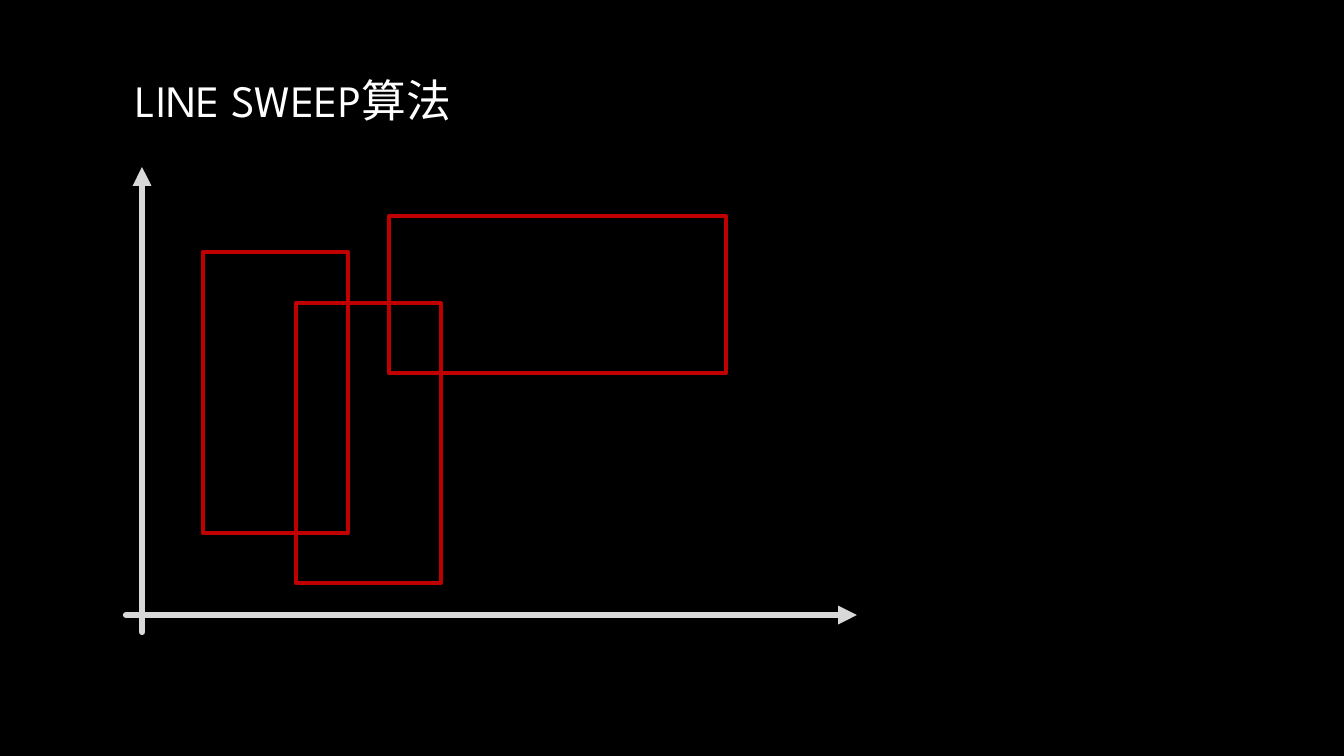
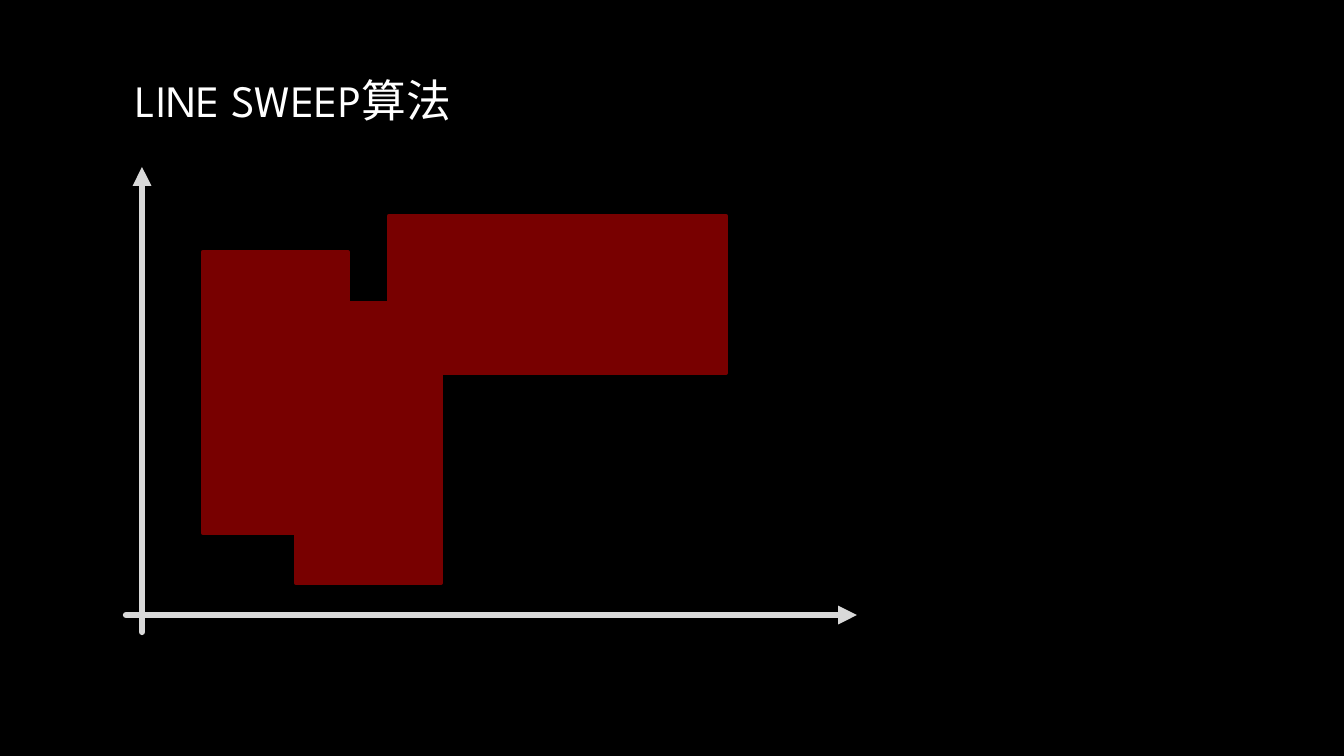
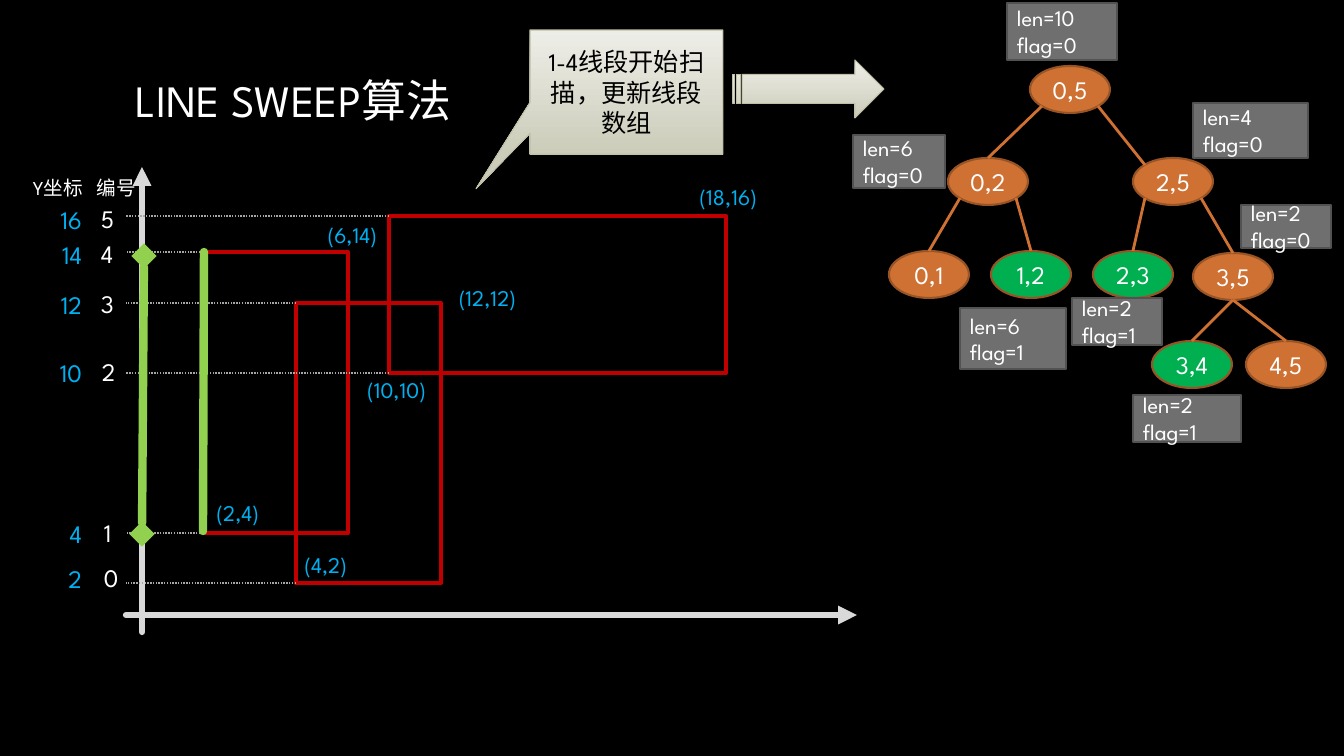
import pptx
import pptx.util
import pptx.dml.color
import pptx.enum.dml
import pptx.enum.shapes
import pptx.enum.text
import pptx.oxml

FONT = "League Spartan"
WHITE, BLACK, BLUE = "FFFFFF", "000000", "00B0F0"
RED, DARK, GREEN, LIME = "C00000", "780000", "00B050", "92D050"
AXIS, GUIDE = "D9D9D9", "A6A6A6"
NODE, RIM, TAG, EDGE = "CF7133", "995426", "6F6F6F", "525252"
CREAM, SAND, KHAKI = "EEEEE8", "CCCCBA", "BFBFA5"

KIND = pptx.enum.shapes.MSO_SHAPE
ALIGN = pptx.enum.text.PP_ALIGN
MIDDLE = pptx.enum.text.MSO_ANCHOR.MIDDLE
DOTS = pptx.enum.dml.MSO_LINE.ROUND_DOT


def px(n):
    return pptx.util.Emu(round(n * 914400 / 100.8))


def rgb(code):
    return pptx.dml.color.RGBColor.from_string(code)


def assign(item, **values):
    for name, value in values.items():
        setattr(item, name, value)


# Basic parts
def write(shape, text, size, color=WHITE, align=ALIGN.LEFT, **frame):
    tf = shape.text_frame
    assign(tf, **frame)
    tf.text = text
    for para in tf.paragraphs:
        para.alignment = align
        assign(para.font, name=FONT, size=pptx.util.Pt(size))
        para.font.color.rgb = rgb(color)


def label(slide, box, text, size, color=WHITE, align=ALIGN.LEFT, **frame):
    shape = slide.shapes.add_textbox(*map(px, box))
    write(shape, text, size, color, align, **frame)


def block(slide, kind, box, fill, line, width):
    shape = slide.shapes.add_shape(kind, *map(px, box))
    shape.shadow.inherit = False
    if fill is None:
        shape.fill.background()
    elif isinstance(fill, tuple):
        shape.fill.gradient()
        shape.fill.gradient_angle = 270
        for stop, code, place in zip(shape.fill.gradient_stops, fill, (0, 1)):
            stop.color.rgb = rgb(code)
            stop.position = place
    else:
        shape.fill.solid()
        shape.fill.fore_color.rgb = rgb(fill)
    shape.line.color.rgb = rgb(line)
    shape.line.width = pptx.util.Pt(width)
    return shape


def add(parent, tag, **values):
    child = pptx.oxml.parse_xml(
        f'<a:{tag} xmlns:a="http://schemas.openxmlformats.org/drawingml/2006/main"/>')
    for name, value in values.items():
        child.set(name, value)
    parent.append(child)


def stroke(slide, start, end, color, width, dash=None, head=None, tail=None, cap="flat"):
    line = slide.shapes.add_connector(
        pptx.enum.shapes.MSO_CONNECTOR.STRAIGHT, *map(px, (*start, *end)))
    line.line.color.rgb = rgb(color)
    assign(line.line, width=pptx.util.Pt(width), dash_style=dash)
    ln = line.line._get_or_add_ln()
    ln.set("cap", cap)
    add(ln, "round")
    for tag, tip in (("headEnd", head), ("tailEnd", tail)):
        if tip:
            add(ln, tag, type=tip)
    add(line._element.spPr, "effectLst")


# Shared base: background and title
def base(deck):
    slide = deck.slides.add_slide(deck.slide_layouts[6])
    slide.background.fill.solid()
    slide.background.fill.fore_color.rgb = rgb(BLACK)
    label(slide, (126, 67, 1092, 66), "LINE SWEEP算法", 32,
          word_wrap=True, vertical_anchor=MIDDLE)
    return slide


# Axes with the three rectangles
RECTS = [(83, 92, 145, 281), (176, 143, 145, 280), (269, 56, 337, 157)]


def plot(slide, x, y, fill, line):
    for start, end in (((6, 455), (737, 455)), ((22, 472), (22, 7))):
        stroke(slide, (x + start[0], y + start[1]), (x + end[0], y + end[1]),
               AXIS, 4.5, tail="triangle", cap="rnd")
    for left, top, w, h in RECTS:
        block(slide, KIND.RECTANGLE, (x + left, y + top, w, h), fill, line, 3)


# Guides, index and coordinate labels
LEVELS = [("5", "16", -29, 38), ("4", "14", -29, 73), ("3", "12", -29, 123),
          ("2", "10", -28, 191), ("1", "4", -26, 352), ("0", "2", -26, 397)]
POINTS = [("(2,4)", 80, 334, 69), ("(4,2)", 168, 386, 69), ("(10,10)", 227, 211, 89),
          ("(12,12)", 317, 119, 89), ("(6,14)", 178, 56, 89), ("(18,16)", 558, 18, 89)]


def marks(slide, x, y):
    for left, top, w, h in RECTS:
        for level in (top, top + h):
            stroke(slide, (x + left, y + level), (x + 6, y + level), GUIDE, 1, DOTS)
    for index, value, left, top in LEVELS:
        label(slide, (x + left, y + top, 34, 40), index, 18, word_wrap=False)
        label(slide, (x - 90, y + top + 1, 62, 40), value, 18, BLUE,
              ALIGN.RIGHT, word_wrap=True)
    for text, left in (("Y坐标", -97), ("编号", -33)):
        label(slide, (x + left, y + 11, 100, 34), text, 14, word_wrap=True)
    for text, left, top, w in POINTS:
        label(slide, (x + left, y + top, w, 37), text, 16, BLUE,
              ALIGN.RIGHT, word_wrap=True)


# Segment tree
NODES = {"0,5": (180, 66), "0,2": (98, 158), "0,1": (39, 251), "1,2": (141, 251),
         "2,5": (283, 158), "2,3": (243, 251), "3,5": (343, 253),
         "3,4": (302, 341), "4,5": (396, 341)}
ACTIVE = {"1,2", "2,3", "3,4"}
SITES = {"top": (40, 0), "nw": (12, 7), "sw": (12, 40), "se": (68, 40), "low": (40, 47)}
LINKS = [("0,5", "sw", "0,2", "top"), ("0,5", "se", "2,5", "nw"),
         ("0,2", "sw", "0,1", "top"), ("0,2", "se", "1,2", "top"),
         ("2,5", "sw", "2,3", "top"), ("2,5", "se", "3,5", "top"),
         ("3,5", "low", "3,4", "top"), ("3,5", "low", "4,5", "top")]
TAGS = [(10, 0, 157, 3, 110, 57), (6, 1, 110, 308, 106, 61), (2, 1, 222, 298, 90, 47),
        (2, 0, 391, 205, 90, 43), (2, 1, 283, 395, 108, 47), (6, 0, 3, 135, 92, 53),
        (4, 0, 343, 103, 115, 55)]


def tree(slide, x, y):
    def site(node, side):
        return tuple(map(sum, zip((x, y), NODES[node], SITES[side])))

    for text, (left, top) in NODES.items():
        oval = block(slide, KIND.OVAL, (x + left, y + top, 80, 47),
                     GREEN if text in ACTIVE else NODE, RIM, 1.5)
        write(oval, text, 18, align=ALIGN.CENTER, word_wrap=False, vertical_anchor=MIDDLE)
    for parent, out, child, into in LINKS:
        stroke(slide, site(parent, out), site(child, into), NODE, 2)
    for size, flag, left, top, w, h in TAGS:
        tag = block(slide, KIND.RECTANGLE, (x + left, y + top, w, h), TAG, EDGE, 1.5)
        write(tag, f"len={size}\nflag={flag}", 16, word_wrap=True, vertical_anchor=MIDDLE)


# Callout and arrow towards the tree
def note(slide, x, y):
    bubble = block(slide, KIND.RECTANGULAR_CALLOUT, (x, y, 193, 124),
                   (CREAM, SAND), KHAKI, 0.75)
    bubble.adjustments[0], bubble.adjustments[1] = -0.78, 0.78
    write(bubble, "1-4线段开始扫描，更新线段数组", 18, BLACK, ALIGN.CENTER,
          word_wrap=True, vertical_anchor=MIDDLE)
    block(slide, KIND.STRIPED_RIGHT_ARROW, (x + 203, y + 30, 151, 58),
          (CREAM, SAND), KHAKI, 0.75)


# Active segment on the first rectangle and on the axis
def scan(slide, x, y):
    stroke(slide, (x + 84, y + 92), (x + 83, y + 371), LIME, 6, cap="rnd")
    stroke(slide, (x + 24, y + 96), (x + 22, y + 374), LIME, 6,
           head="diamond", tail="diamond", cap="rnd")


def main():
    deck = pptx.Presentation()
    assign(deck, slide_width=px(1344), slide_height=px(756))
    for fill, line in ((None, RED), (DARK, DARK), (None, RED)):
        slide = base(deck)
        plot(slide, 120, 160, fill, line)
    marks(slide, 120, 160)
    tree(slide, 850, 0)
    note(slide, 530, 30)
    scan(slide, 120, 160)
    deck.save("out.pptx")


if __name__ == "__main__":
    main()
